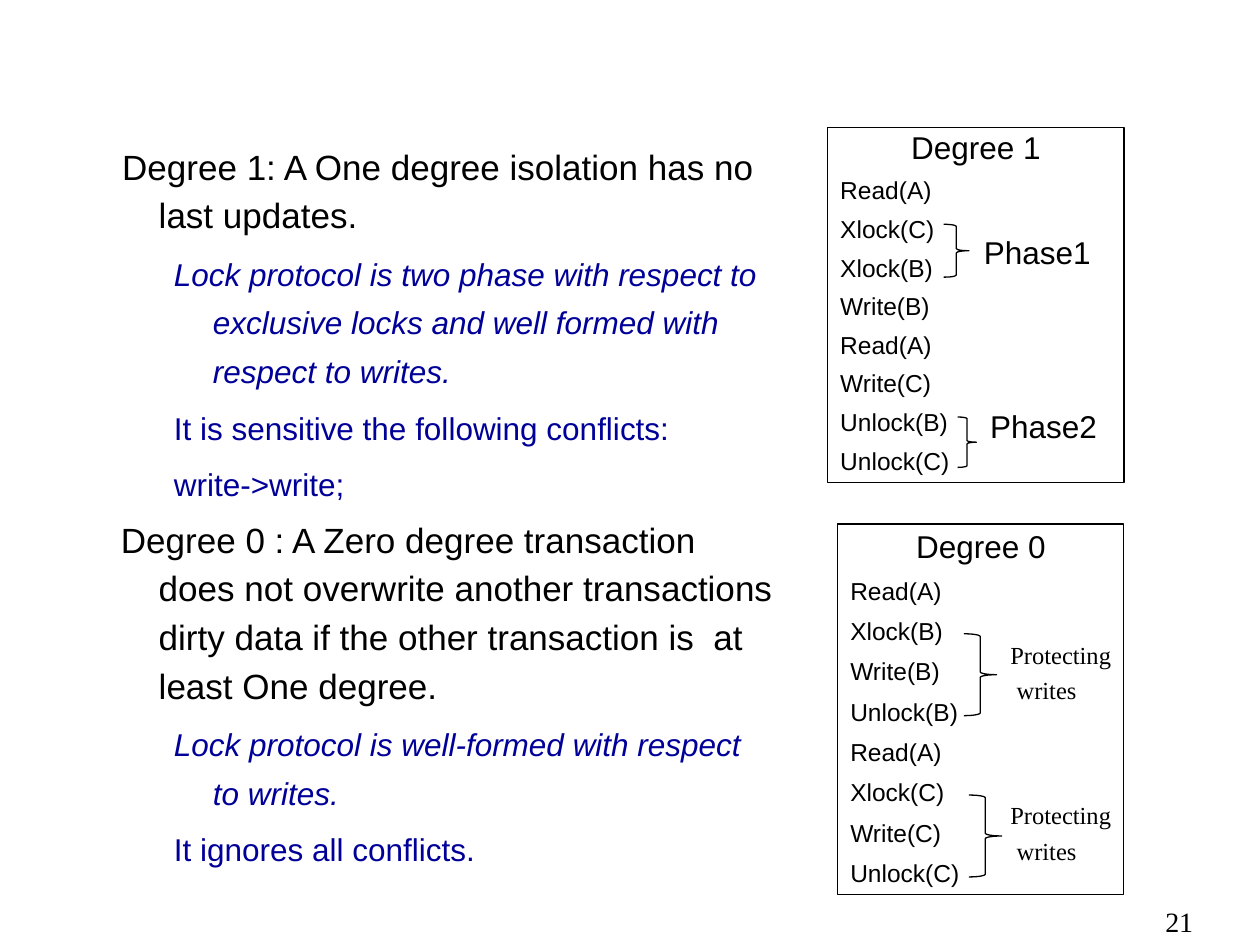
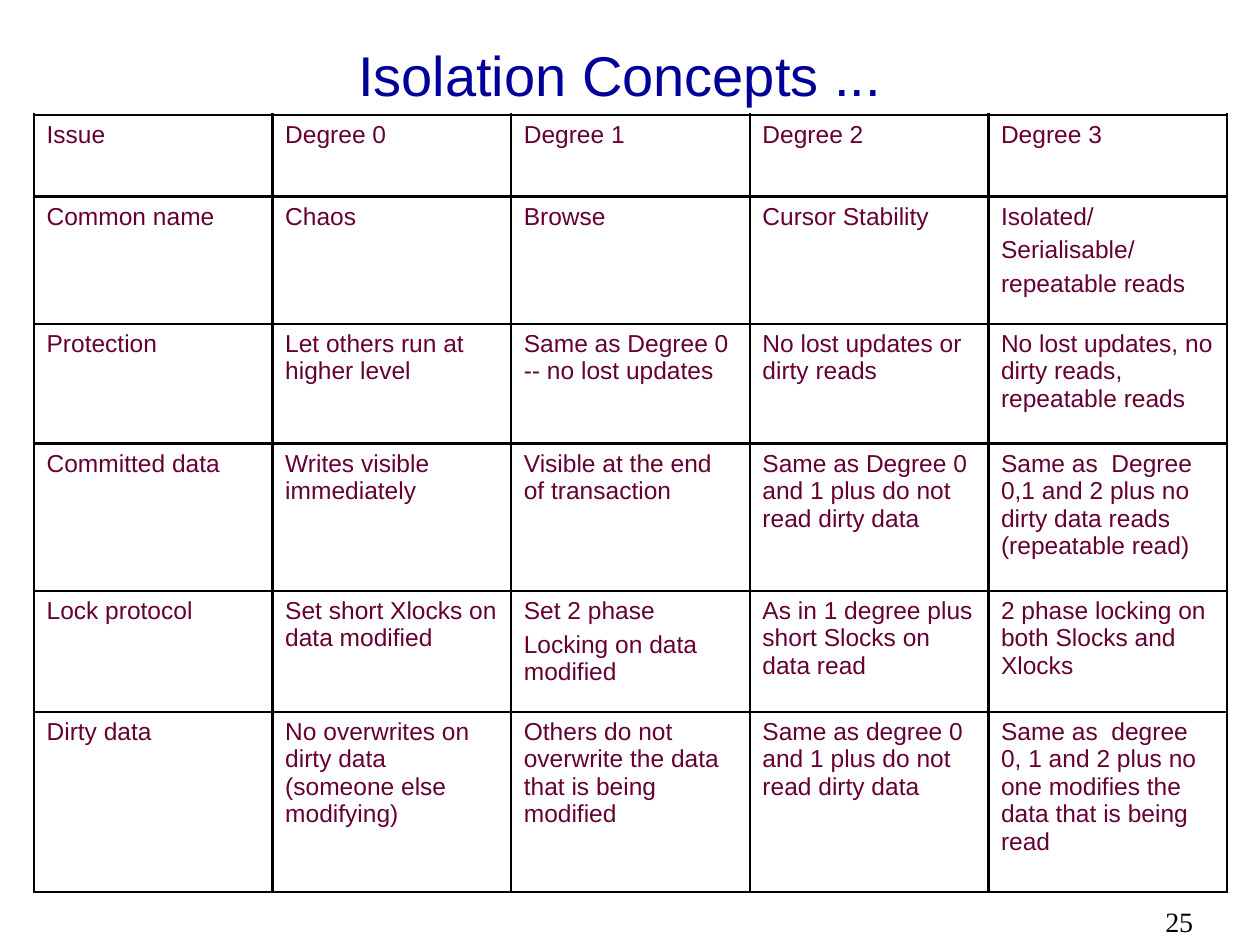
from lxml import etree
from pptx import Presentation
from pptx.dml.color import RGBColor
from pptx.enum import shapes, text
from pptx.oxml import ns
from pptx.util import Inches, Pt

BLACK = RGBColor(0x00, 0x00, 0x00)
WHITE = RGBColor(0xFF, 0xFF, 0xFF)
NAVY = RGBColor(0x00, 0x00, 0x99)
MAROON = RGBColor(0x66, 0x00, 0x33)
SANS = "Arial"
SERIF = "Times New Roman"

BODY_BOX = (0.78, 1.05, 5.46, 5.81)
TITLE_BOX = (0.67, 0.24, 8.5, 0.69)
NUMBER_BOX = (9.15, 7.13, 0.85, 0.37)
TABLE_BOX = (0.27, 0.91, 9.47, 6.17)

HEADING, PROTOCOL, REMARK = "heading", "protocol", "remark"
DEFINITIONS = [
    (HEADING, "Degree 1: A One degree isolation has no last updates."),
    (PROTOCOL, "Lock protocol is two phase with respect to exclusive locks "
               "and well formed with respect to writes."),
    (REMARK, "It is sensitive the following conflicts:"),
    (REMARK, "write->write;"),
    (HEADING, "Degree 0 : A Zero degree transaction does not overwrite another "
              "transactions dirty data if the other transaction is  at least One degree."),
    (PROTOCOL, "Lock protocol is well-formed with respect to writes."),
    (REMARK, "It ignores all conflicts."),
]

SCHEDULES = [
    {"box": (6.57, 1.01, 2.35, 2.82), "line_height": 18.6, "name": "Degree 1",
     "steps": ["Read(A)", "Xlock(C)", "Xlock(B)", "Write(B)", "Read(A)",
               "Write(C)", "Unlock(B)", "Unlock(C)"]},
    {"box": (6.65, 4.16, 2.27, 2.94), "line_height": 19.6, "name": "Degree 0",
     "steps": ["Read(A)", "Xlock(B)", "Write(B)", "Unlock(B)", "Read(A)",
               "Xlock(C)", "Write(C)", "Unlock(C)"]},
]

PROTECTING = ["Protecting", "writes"]
BRACES = [
    ((7.49, 1.78, 0.2, 0.42), (7.71, 1.8, 1.09, 0.4), ["Phase1"], SANS, 18),
    ((7.6, 3.31, 0.15, 0.4), (7.76, 3.18, 1.09, 0.4), ["Phase2"], SANS, 18),
    ((7.65, 5.03, 0.26, 0.65), (7.92, 5.03, 1, 0.62), PROTECTING, SERIF, 14),
    ((7.69, 6.31, 0.26, 0.65), (7.92, 6.3, 1, 0.62), PROTECTING, SERIF, 14),
]

ROW_HEIGHTS = [0.65, 1.01, 0.95, 1.17, 0.96, 1.43]
ISOLATION_ROWS = [
    ["Issue", "Degree 0", "Degree 1", "Degree 2", "Degree 3"],
    ["Common name", "Chaos", "Browse", "Cursor Stability",
     "Isolated/\nSerialisable/\nrepeatable reads"],
    ["Protection", "Let others run at higher level",
     "Same as Degree 0 -- no lost updates", "No lost updates or dirty reads",
     "No lost updates, no dirty reads, repeatable reads"],
    ["Committed data", "Writes visible immediately",
     "Visible at the end of transaction",
     "Same as Degree 0 and 1 plus do not read dirty data",
     "Same as  Degree 0,1 and 2 plus no dirty data reads (repeatable read)"],
    ["Lock protocol", "Set short Xlocks on data modified",
     "Set 2 phase\nLocking on data modified",
     "As in 1 degree plus short Slocks on data read",
     "2 phase locking on both Slocks and Xlocks"],
    ["Dirty data", "No overwrites on dirty data (someone else modifying)",
     "Others do not overwrite the data that is being modified",
     "Same as degree 0 and 1 plus do not read dirty data",
     "Same as  degree 0, 1 and 2 plus no one modifies the data that is being read"],
]


def inches(box):
    return [Inches(length) for length in box]


def place(shape, box):
    shape.left, shape.top, shape.width, shape.height = inches(box)


def style(paragraph, size, color=BLACK, font=SANS, italic=False):
    for run in paragraph.runs:
        run.font.size = Pt(size)
        run.font.name = font
        run.font.color.rgb = color
        run.font.italic = italic


def indent(paragraph, left, first_line=0):
    properties = paragraph._p.get_or_add_pPr()
    properties.set("marL", str(Inches(left)))
    properties.set("indent", str(Inches(first_line)))


def write(text_frame, lines, size, color=BLACK, font=SANS):
    text_frame.text = "\n".join(lines)
    for index, paragraph in enumerate(text_frame.paragraphs):
        paragraph.space_before = Pt(size / 4 if index else 0)
        style(paragraph, size, color, font)


def add_label(slide, box, lines, font, size):
    label = slide.shapes.add_textbox(*inches(box))
    label.text_frame.word_wrap = len(lines) == 1
    write(label.text_frame, lines, size, font=font)
    return label


def add_numbered_slide(presentation, layout, number):
    slide = presentation.slides.add_slide(presentation.slide_layouts[layout])
    add_label(slide, NUMBER_BOX, [number], SERIF, 16)
    return slide


def add_outlined(slide, kind, box):
    shape = slide.shapes.add_shape(kind, *inches(box))
    shape.shadow.inherit = False
    shape.line.color.rgb = BLACK
    shape.line.width = Pt(0.75)
    return shape


def fill_definitions(body):
    place(body, BODY_BOX)
    text_frame = body.text_frame
    text_frame.auto_size = text.MSO_AUTO_SIZE.NONE
    text_frame.text = "\n".join(line for _, line in DEFINITIONS)
    for index, paragraph in enumerate(text_frame.paragraphs):
        kind = DEFINITIONS[index][0]
        heading = kind == HEADING
        paragraph.level = 0 if heading else 1
        if heading:
            indent(paragraph, 0.38, -0.3 if index else -0.29)
        else:
            indent(paragraph, 0.81, -0.31)
        etree.SubElement(paragraph._p.get_or_add_pPr(), ns.qn("a:buNone"))
        size = 20 if heading else 18
        paragraph.line_spacing = Pt(27.8)
        paragraph.space_before = Pt(size / 4 if index else 0)
        style(paragraph, size, BLACK if heading else NAVY, italic=kind == PROTOCOL)


def add_schedule(slide, schedule):
    panel = add_outlined(slide, shapes.MSO_SHAPE.RECTANGLE, schedule["box"])
    panel.fill.background()
    text_frame = panel.text_frame
    text_frame.word_wrap = True
    text_frame.vertical_anchor = text.MSO_ANCHOR.TOP
    write(text_frame, [schedule["name"]] + schedule["steps"], 14)
    for paragraph in text_frame.paragraphs:
        paragraph.alignment = text.PP_ALIGN.LEFT
        paragraph.line_spacing = Pt(schedule["line_height"])
    name = text_frame.paragraphs[0]
    name.alignment = text.PP_ALIGN.CENTER
    style(name, 18)


def add_brace(slide, brace_box, label_box, lines, font, size):
    brace = add_outlined(slide, shapes.MSO_SHAPE.RIGHT_BRACE, brace_box)
    brace.fill.solid()
    brace.fill.fore_color.rgb = WHITE
    label = add_label(slide, label_box, lines, font, size)
    for paragraph in label.text_frame.paragraphs[1:]:
        indent(paragraph, 0.05)


def add_borders(cell):
    properties = cell._tc.get_or_add_tcPr()
    for side in ("a:lnL", "a:lnR", "a:lnT", "a:lnB"):
        line = etree.SubElement(properties, ns.qn(side), w=str(Pt(1.5)))
        fill = etree.SubElement(line, ns.qn("a:solidFill"))
        etree.SubElement(fill, ns.qn("a:srgbClr"), val=str(BLACK))


def add_isolation_table(slide):
    column_count = len(ISOLATION_ROWS[0])
    frame = slide.shapes.add_table(len(ISOLATION_ROWS), column_count, *inches(TABLE_BOX))
    table = frame.table
    table.first_row = table.horz_banding = False
    for column in table.columns:
        column.width = Inches(TABLE_BOX[2] / column_count)
    for row, height, values in zip(table.rows, ROW_HEIGHTS, ISOLATION_ROWS):
        row.height = Inches(height)
        for cell, value in zip(row.cells, values):
            add_borders(cell)
            cell.fill.solid()
            cell.fill.fore_color.rgb = WHITE
            write(cell.text_frame, value.split("\n"), 14, MAROON)


def build_degrees_slide(presentation):
    slide = add_numbered_slide(presentation, 1, "21")
    title = slide.shapes.title
    title._element.getparent().remove(title._element)
    fill_definitions(slide.placeholders[1])
    for schedule in SCHEDULES:
        add_schedule(slide, schedule)
    for brace in BRACES:
        add_brace(slide, *brace)


def build_concepts_slide(presentation):
    slide = add_numbered_slide(presentation, 5, "25")
    title = slide.shapes.title
    place(title, TITLE_BOX)
    title.text_frame.auto_size = text.MSO_AUTO_SIZE.NONE
    title.text_frame.vertical_anchor = text.MSO_ANCHOR.MIDDLE
    title.text_frame.text = "Isolation Concepts ..."
    title.text_frame.paragraphs[0].alignment = text.PP_ALIGN.CENTER
    style(title.text_frame.paragraphs[0], 32, NAVY)
    add_isolation_table(slide)


def main():
    presentation = Presentation()
    presentation.slide_width, presentation.slide_height = inches((10, 7.5))
    build_degrees_slide(presentation)
    build_concepts_slide(presentation)
    presentation.save("out.pptx")


if __name__ == "__main__":
    main()
